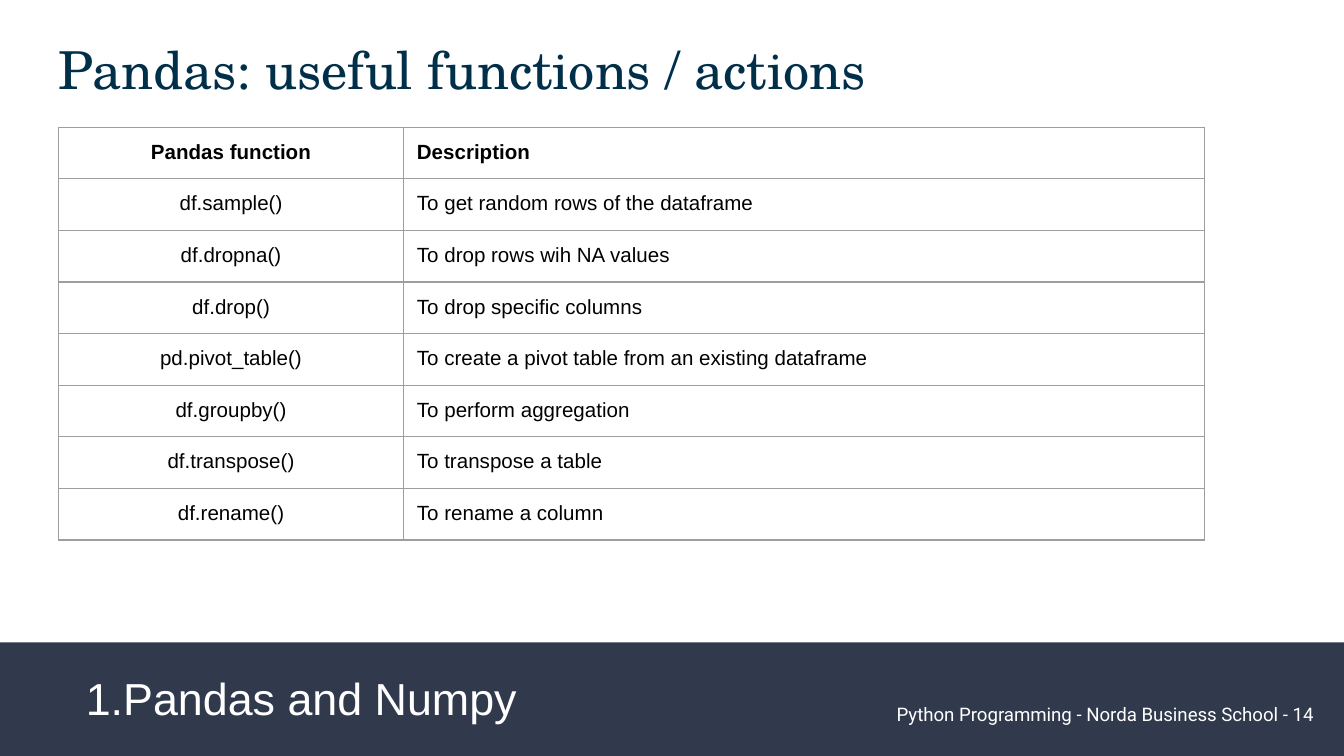
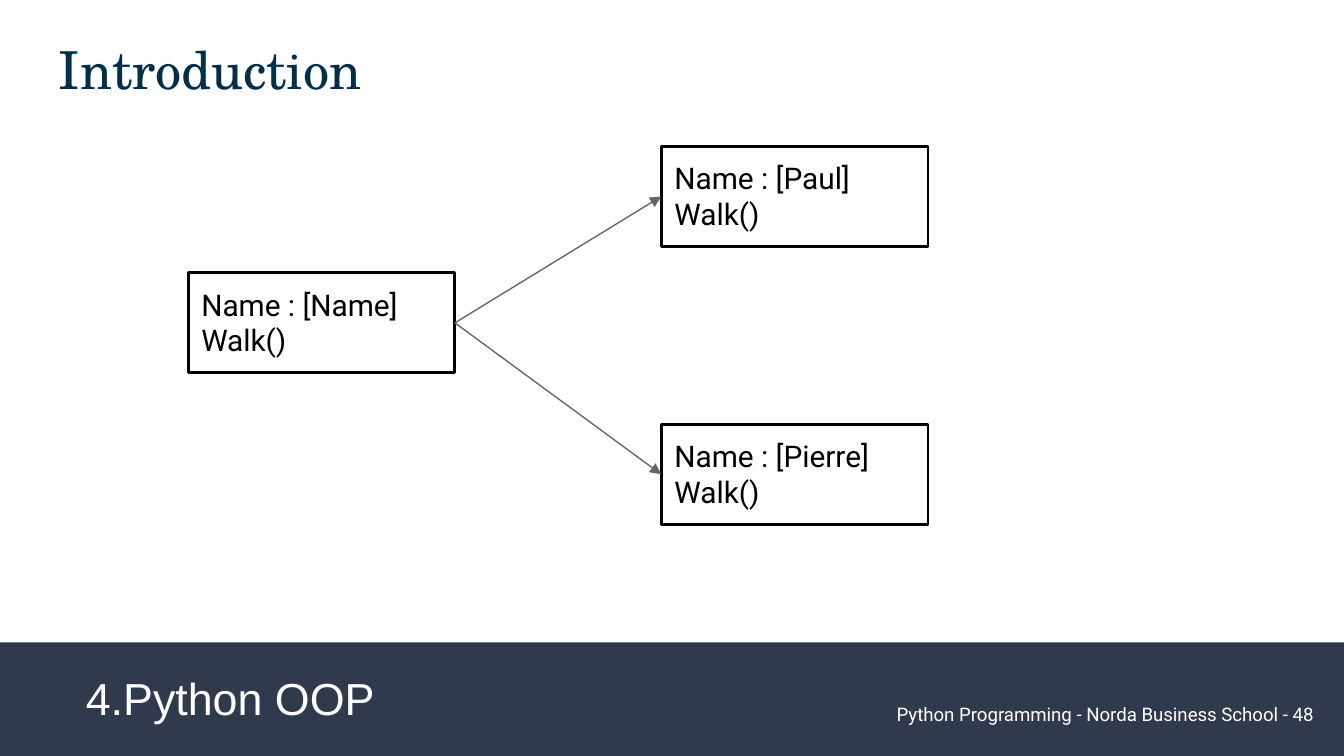
from lxml import etree
from pptx import Presentation
from pptx import util as u
from pptx.dml.color import RGBColor
from pptx.enum import shapes, text
from pptx.oxml import ns

WHITE = RGBColor(0xFF, 0xFF, 0xFF)
BLACK = RGBColor(0x00, 0x00, 0x00)
BAND = RGBColor(0x31, 0x39, 0x4D)
TITLE = RGBColor(0x00, 0x2F, 0x4A)
ARROW = RGBColor(0x66, 0x66, 0x66)
BORDER = RGBColor(0x9E, 0x9E, 0x9E)

SANS, ROBOTO, SERIF = "Arial", "Roboto", "TeX Gyre Schola"
LEFT, CENTER, RIGHT = text.PP_ALIGN.LEFT, text.PP_ALIGN.CENTER, text.PP_ALIGN.RIGHT
TOP, MIDDLE = text.MSO_ANCHOR.TOP, text.MSO_ANCHOR.MIDDLE

# The grid has 100 columns and 56.25 rows of equal size
COLUMNS, ROWS = 100, 56.25
CELL = u.Inches(0.1)
INSET = u.Inches(0.1)
BOX_WIDTH, BOX_HEIGHT = 19.85, 7.45

FUNCTIONS = [
    ("Pandas function", "Description"),
    ("df.sample()", "To get random rows of the dataframe"),
    ("df.dropna()", "To drop rows wih NA values"),
    ("df.drop()", "To drop specific columns"),
    ("pd.pivot_table()", "To create a pivot table from an existing dataframe"),
    ("df.groupby()", "To perform aggregation"),
    ("df.transpose()", "To transpose a table"),
    ("df.rename()", "To rename a column"),
]


def grid(*lengths):
    """Turn grid units into slide lengths."""
    return [u.Emu(round(length * CELL)) for length in lengths]


def write(frame, words, font=SANS, size=11, color=BLACK, bold=False, align=LEFT):
    """Fill a text frame, one paragraph per line of words."""
    for index, line in enumerate(words.split("\n")):
        para = frame.add_paragraph() if index else frame.paragraphs[0]
        para.alignment = align
        span = para.add_run()
        span.text = line
        span.font.name, span.font.size, span.font.bold = font, u.Pt(size), bold
        span.font.color.rgb = color


def set_frame(frame, anchor=TOP):
    frame.word_wrap = True
    frame.vertical_anchor = anchor
    frame.margin_left = frame.margin_right = INSET
    frame.margin_top = frame.margin_bottom = INSET


def add_text(page, area, words, anchor=TOP, **style):
    box = page.shapes.add_textbox(*grid(*area))
    set_frame(box.text_frame, anchor)
    write(box.text_frame, words, **style)


def add_rectangle(page, area):
    box = page.shapes.add_shape(shapes.MSO_SHAPE.RECTANGLE, *grid(*area))
    box.shadow.inherit = False
    return box


def add_object_box(page, left, top, name):
    """Outlined box that shows an object's name and method."""
    box = add_rectangle(page, (left, top, BOX_WIDTH, BOX_HEIGHT))
    box.fill.background()
    box.line.color.rgb = BLACK
    box.line.width = u.Pt(1.5)
    set_frame(box.text_frame)
    box.text_frame.auto_size = text.MSO_AUTO_SIZE.SHAPE_TO_FIT_TEXT
    write(box.text_frame, f"Name : [{name}]\nWalk()", font=ROBOTO, size=16)
    return box


def add_arrow(page, source, target):
    """Arrow from the right side of one box to the left side of another."""
    arrow = page.shapes.add_connector(shapes.MSO_CONNECTOR.STRAIGHT, 0, 0, 0, 0)
    arrow.begin_connect(source, 3)
    arrow.end_connect(target, 1)
    arrow.line.color.rgb = ARROW
    arrow.line.width = u.Pt(0.75)
    etree.SubElement(arrow.line._get_or_add_ln(), ns.qn("a:tailEnd"), type="triangle")
    etree.SubElement(arrow._element.spPr, ns.qn("a:effectLst"))


def add_borders(cell):
    properties = cell._tc.get_or_add_tcPr()
    for index, side in enumerate(("lnL", "lnR", "lnT", "lnB")):
        line = etree.Element(ns.qn(f"a:{side}"), w=str(u.Pt(0.75)))
        fill = etree.SubElement(line, ns.qn("a:solidFill"))
        etree.SubElement(fill, ns.qn("a:srgbClr"), val=str(BORDER))
        properties.insert(index, line)


def add_function_table(page, left, top, widths, row_height, rows):
    area = (left, top, sum(widths), row_height * len(rows))
    table = page.shapes.add_table(len(rows), len(widths), *grid(*area)).table
    table.first_row = table.horz_banding = False
    for column, width in zip(table.columns, grid(*widths)):
        column.width = width
    for row_index, row in enumerate(rows):
        for column_index, words in enumerate(row):
            cell = table.cell(row_index, column_index)
            cell.margin_left = cell.margin_right = INSET
            cell.margin_top = cell.margin_bottom = INSET
            cell.fill.background()
            add_borders(cell)
            write(cell.text_frame, words, bold=row_index == 0,
                  align=LEFT if column_index else CENTER)


def add_page(deck, title, section, number):
    """Page with the shared title, band, section name and footer."""
    page = deck.slides.add_slide(deck.slide_layouts[6])
    page.background.fill.solid()
    page.background.fill.fore_color.rgb = WHITE
    band = add_rectangle(page, (0, 47.8, COLUMNS, ROWS - 47.8))
    band.fill.solid()
    band.fill.fore_color.rgb = BAND
    band.line.fill.background()
    add_text(page, (3.4, 1.8, 93.2, 9.1), title, font=SERIF, size=28, color=TITLE)
    add_text(page, (59.4, 51, 39.3, 4.3),
             f"Python Programming - Norda Business School - {number}",
             anchor=MIDDLE, font=ROBOTO, size=10, color=WHITE, align=RIGHT)
    add_text(page, (5.4, 48.9, 49.5, 6.4), section, size=24, color=WHITE)
    return page


def main():
    deck = Presentation()
    deck.slide_width, deck.slide_height = grid(COLUMNS, ROWS)

    # Table of functions
    page = add_page(deck, "Pandas: useful functions / actions", "1.Pandas and Numpy", 14)
    add_function_table(page, 4.37, 9.47, (25.65, 59.6), 3.5, FUNCTIONS)

    # One class and its two instances
    page = add_page(deck, "Introduction", "4.Python OOP", 48)
    model = add_object_box(page, 14, 20.3, "Name")
    for top, name in ((10.9, "Paul"), (31.57, "Pierre")):
        add_arrow(page, model, add_object_box(page, 49.2, top, name))

    deck.save("out.pptx")


if __name__ == "__main__":
    main()
